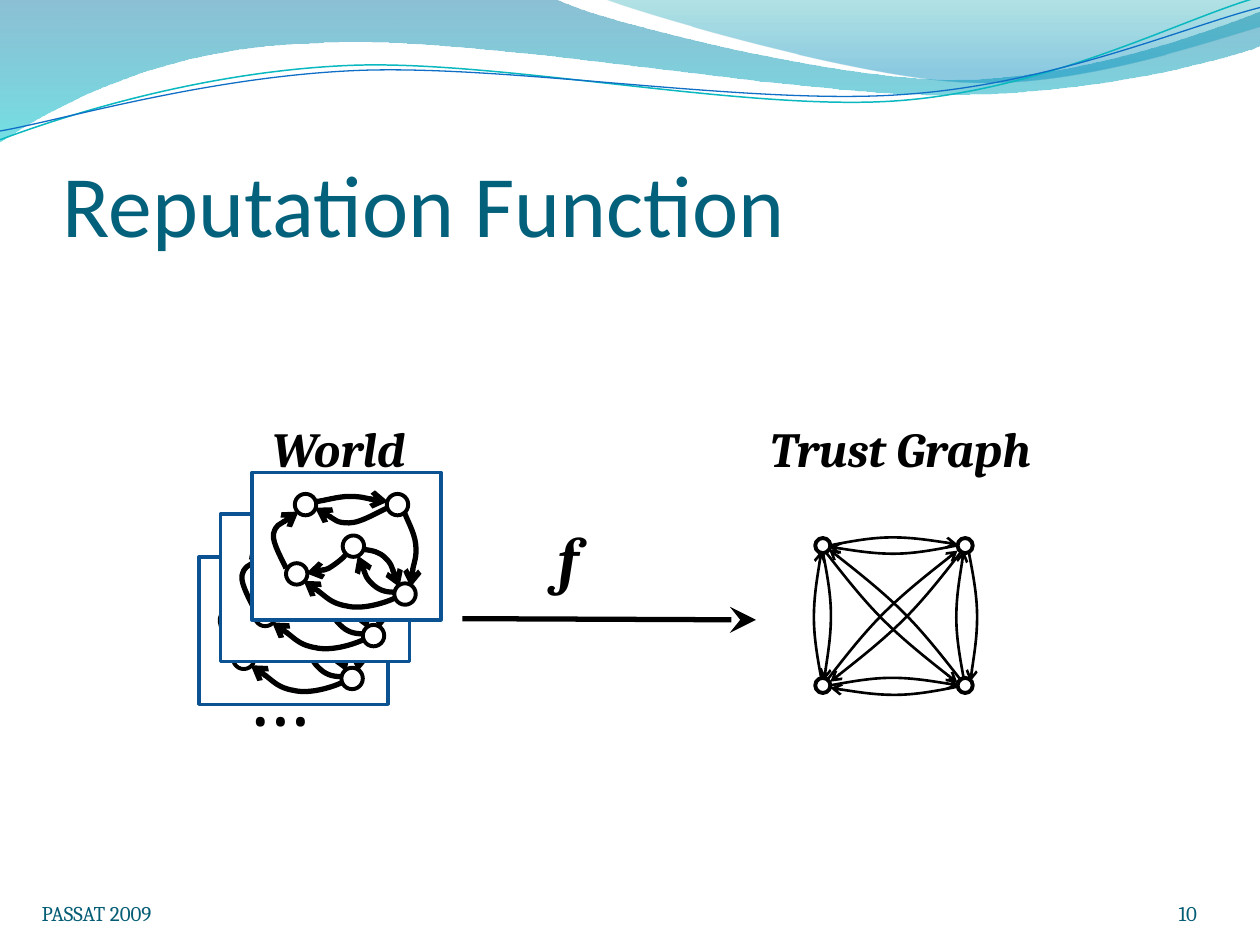
from itertools import chain
from math import hypot

from lxml.etree import SubElement
from pptx import Presentation
from pptx.dml.color import RGBColor
from pptx.enum.shapes import MSO_CONNECTOR, MSO_SHAPE
from pptx.enum.text import MSO_ANCHOR, PP_ALIGN
from pptx.oxml.ns import qn
from pptx.util import Inches, Pt

BLACK, WHITE, PANEL_BLUE = "000000", "FFFFFF", "0B5292"
TITLE_TEAL, FOOTER_TEAL = "04617B", "045D75"

# A path is a start point and steps: 2 numbers draw a line, 6 a Bezier curve.
LEFT_WAVE = ((0, 0), [
    (4.4, -0.01), (4.76, 0.17, 6.64, 0.63, 7.58, 0.63),
    (8.53, 0.63, 9.58, 0.26, 10, 0.09), (10.01, 0.36),
    (9.83, 0.44, 8.7, 0.76, 7.46, 0.75), (6.22, 0.75, 3.82, 0.28, 2.57, 0.34),
    (1.29, 0.36, 0.46, 0.83, -0.01, 1.13)])
RIGHT_WAVE = ((4.79, -0.01), [
    (5.09, 0.11, 6.82, 0.62, 7.69, 0.65), (8.56, 0.69, 9.61, 0.32, 10, 0.21),
    (10, 0)])
TEAL_CURVE = ((0, 1.11), [
    (0.48, 0.93, 1.58, 0.57, 2.77, 0.52), (3.95, 0.47, 5.93, 0.89, 7.13, 0.8),
    (8.33, 0.71, 9.38, 0.15, 9.98, -0.02)])
BLUE_CURVE = ((0, 1.04), [
    (0.47, 0.96, 1.64, 0.61, 2.83, 0.56), (4.03, 0.51, 5.97, 0.84, 7.17, 0.75),
    (8.36, 0.67, 9.41, 0.21, 10, 0.06)])

# Contents of a world panel, measured from its top left corner.
LOWER_NODES = [(1.13, 0.88), (0.27, 0.72)]
LOWER_ARCS = [
    ((0.41, 0.86), [(0.47, 0.89, 0.63, 1.04, 0.75, 1.06),
                    (0.87, 1.09, 1.04, 1.04, 1.13, 1)], "headEnd"),
    ((0.84, 0.66), [(0.86, 0.71, 0.9, 0.83, 0.95, 0.88),
                    (1, 0.93, 1.05, 0.95, 1.13, 0.95)], "headEnd"),
    ((1.17, 0.91), [(1.15, 0.86, 1.11, 0.73, 1.06, 0.68),
                    (1.01, 0.63, 0.96, 0.62, 0.88, 0.61)], "headEnd"),
    ((0.37, 0.31), [(0.34, 0.34, 0.19, 0.41, 0.17, 0.49),
                    (0.16, 0.56, 0.25, 0.71, 0.27, 0.76)], "headEnd"),
    ((1.21, 0.31), [(1.22, 0.36, 1.29, 0.47, 1.3, 0.57),
                    (1.31, 0.67, 1.25, 0.84, 1.26, 0.91)], "tailEnd")]
UPPER_NODES = [(1.07, 0.17), (0.34, 0.17), (0.72, 0.5)]
UPPER_ARCS = [
    ((0.51, 0.23), [(0.55, 0.23, 0.68, 0.19, 0.77, 0.19),
                    (0.87, 0.19, 1.01, 0.23, 1.08, 0.23)], "tailEnd"),
    ((0.75, 0.64), [(0.74, 0.67, 0.66, 0.73, 0.61, 0.76),
                    (0.56, 0.78, 0.47, 0.79, 0.43, 0.8)], "tailEnd"),
    ((0.5, 0.28), [(0.54, 0.3, 0.67, 0.4, 0.77, 0.4),
                   (0.87, 0.4, 1.02, 0.3, 1.08, 0.28)], "headEnd")]

# Trust arcs: start, end, and side of the bulge (1 is left of travel).
TRUST_ARCS = [
    ((6.58, 4.33), (7.6, 4.32), 1), ((7.59, 4.33), (6.58, 4.34), 1),
    ((6.59, 5.44), (7.61, 5.44), 1), ((7.6, 5.45), (6.59, 5.46), 1),
    ((7.65, 5.39), (7.65, 4.37), 1), ((7.69, 4.39), (7.7, 5.41), 1),
    ((6.52, 5.39), (6.52, 4.37), 1), ((6.53, 4.38), (6.54, 5.4), 1),
    ((6.57, 5.39), (7.6, 4.37), 1), ((7.62, 4.39), (6.59, 5.41), 1),
    ((7.62, 5.39), (6.58, 4.36), -1), ((6.56, 4.39), (7.6, 5.42), -1)]
ARC_PROFILE = [(0.16, 0.03), (0.32, 0.06), (0.48, 0.06),
               (0.65, 0.06), (1, 0), (1, 0)]


def color(value):
    """Turn a hex string into a colour."""
    return RGBColor.from_string(value)


def set_line(shape, value, width):
    """Give a shape a solid outline."""
    shape.line.color.rgb = color(value)
    shape.line.width = Pt(width)


def add_arrowhead(shape, end, kind="arrow", size="med"):
    """Put an arrowhead on one end of a line."""
    SubElement(shape.line._get_or_add_ln(), qn(f"a:{end}"),
               type=kind, w=size, len=size)


def add_path(shapes, start, steps, close=False):
    """Add an unfilled freeform of straight and Bezier steps."""
    builder = shapes.build_freeform(Inches(start[0]), Inches(start[1]))
    points = chain.from_iterable(zip(step[::2], step[1::2]) for step in steps)
    builder.add_line_segments([(Inches(x), Inches(y)) for x, y in points], close)
    shape = builder.convert_to_shape()
    shape.shadow.inherit = False
    shape.fill.background()
    segments = iter(list(shape._element.iter(qn("a:lnTo"))))
    for step in steps:
        first = next(segments)
        if len(step) == 6:
            first.tag = qn("a:cubicBezTo")
            for extra in (next(segments), next(segments)):
                first.append(extra[0])
                extra.getparent().remove(extra)
    return shape


def add_wave(shapes, path, stops):
    """Add a closed wave with a translucent vertical gradient."""
    wave = add_path(shapes, *path, close=True)
    wave.line.fill.background()
    wave.fill.gradient()
    wave.fill.gradient_angle = 270
    for stop, (position, value, alpha) in zip(wave.fill.gradient_stops, stops):
        stop.position = position
        stop.color.rgb = color(value)
    for node, (_, _, alpha) in zip(wave._element.iter(qn("a:gs")), stops):
        SubElement(node[0], qn("a:alpha"), val=str(alpha * 1000))


def add_curve(shapes, path, value, width, end=None):
    """Add an open curve, with an arrowhead if an end is named."""
    curve = add_path(shapes, *path)
    set_line(curve, value, width)
    if end:
        add_arrowhead(curve, end)


def add_node(shapes, left, top, size):
    """Add a graph node."""
    node = shapes.add_shape(MSO_SHAPE.OVAL, Inches(left), Inches(top),
                            Inches(size), Inches(size))
    node.shadow.inherit = False
    node.fill.background()
    set_line(node, BLACK, 2.25)


def add_world(slide, left, top, nodes, arcs):
    """Add a panel holding one state of the world graph."""
    shapes = slide.shapes.add_group_shape().shapes
    panel = shapes.add_shape(MSO_SHAPE.RECTANGLE, Inches(left), Inches(top),
                             Inches(1.5), Inches(1.17))
    panel.shadow.inherit = False
    panel.fill.solid()
    panel.fill.fore_color.rgb = color(WHITE)
    set_line(panel, PANEL_BLUE, 2)
    for x, y in nodes:
        add_node(shapes, left + x, top + y, 0.17)
    for (x, y), steps, end in arcs:
        moved = [tuple(value + (top if index % 2 else left)
                       for index, value in enumerate(step)) for step in steps]
        add_curve(shapes, ((left + x, top + y), moved), BLACK, 3, end)


def add_trust_arc(shapes, start, end, side):
    """Add a bowed arrow between two trust nodes."""
    run, rise = end[0] - start[0], end[1] - start[1]
    length = hypot(run, rise)
    points = [(start[0] + along * run + side * bulge * rise / length,
               start[1] + along * rise - side * bulge * run / length)
              for along, bulge in ARC_PROFILE]
    steps = [tuple(chain(*points[:3])), tuple(chain(*points[3:]))]
    add_curve(shapes, (start, steps), BLACK, 1.5, "tailEnd")


def add_trust_graph(slide):
    """Add the complete graph of four nodes."""
    shapes = slide.shapes.add_group_shape().shapes
    for top in (5.38, 4.27):
        for left in (7.6, 6.47):
            add_node(shapes, left, top, 0.12)
    for arc in TRUST_ARCS:
        add_trust_arc(shapes, *arc)


def add_function_arrow(slide):
    """Add the arrow from the world to the trust graph."""
    arrow = slide.shapes.add_connector(MSO_CONNECTOR.STRAIGHT, Inches(3.67),
                                       Inches(4.91), Inches(6), Inches(4.92))
    SubElement(arrow._element.spPr, qn("a:effectLst"))
    set_line(arrow, BLACK, 3)
    add_arrowhead(arrow, "tailEnd", "stealth", "lg")


def add_text(slide, text, place, size, value=BLACK, name="Cambria",
             strong=False, anchor=MSO_ANCHOR.TOP, align=PP_ALIGN.LEFT):
    """Add one line of text; strong means bold italic."""
    box = slide.shapes.add_textbox(*map(Inches, place))
    frame = box.text_frame
    frame.word_wrap = True
    frame.vertical_anchor = anchor
    frame.margin_left = frame.margin_right = 0
    frame.margin_top = frame.margin_bottom = 0
    para = frame.paragraphs[0]
    para.text = text
    para.alignment = align
    para.font.name, para.font.size = name, Pt(size)
    para.font.bold = para.font.italic = strong
    para.font.color.rgb = color(value)


def main():
    """Build the slide and save the deck."""
    deck = Presentation()
    deck.slide_width, deck.slide_height = Inches(10), Inches(7.5)
    slide = deck.slides.add_slide(deck.slide_layouts[6])
    add_wave(slide.shapes, LEFT_WAVE, [(0, "0074A1", 45), (1, "00C6CF", 55)])
    add_wave(slide.shapes, RIGHT_WAVE, [(0, "00A1A9", 30), (0.8, "008BBF", 45)])
    add_curve(slide.shapes, TEAL_CURVE, "0AB8BF", 0.85)
    add_curve(slide.shapes, BLUE_CURVE, "0F6FC6", 0.75)
    bottom = MSO_ANCHOR.BOTTOM
    add_text(slide, "Reputation Function", (0.5, 0.77, 9, 1.25), 50,
             TITLE_TEAL, "Calibri", anchor=bottom)
    add_text(slide, "World", (2.16, 3.32, 1.3, 0.46), 28, strong=True)
    add_text(slide, "Trust Graph", (6.11, 3.32, 2.4, 0.46), 28, strong=True)
    add_text(slide, "f", (4.43, 4.12, 0.5, 0.6), 36, strong=True)
    add_text(slide, "…", (1.96, 5.1, 0.8, 0.8), 48)
    add_text(slide, "10", (8.67, 6.95, 0.83, 0.4), 12, FOOTER_TEAL,
             anchor=bottom, align=PP_ALIGN.RIGHT)
    add_text(slide, "PASSAT 2009", (0.33, 7.08, 1.08, 0.27), 12, FOOTER_TEAL,
             anchor=bottom)
    for left, top in ((1.58, 4.42), (1.75, 4.08)):
        add_world(slide, left, top, LOWER_NODES, LOWER_ARCS)
    add_world(slide, 2, 3.75, UPPER_NODES + LOWER_NODES, UPPER_ARCS + LOWER_ARCS)
    add_function_arrow(slide)
    add_trust_graph(slide)
    deck.save("out.pptx")


main()
